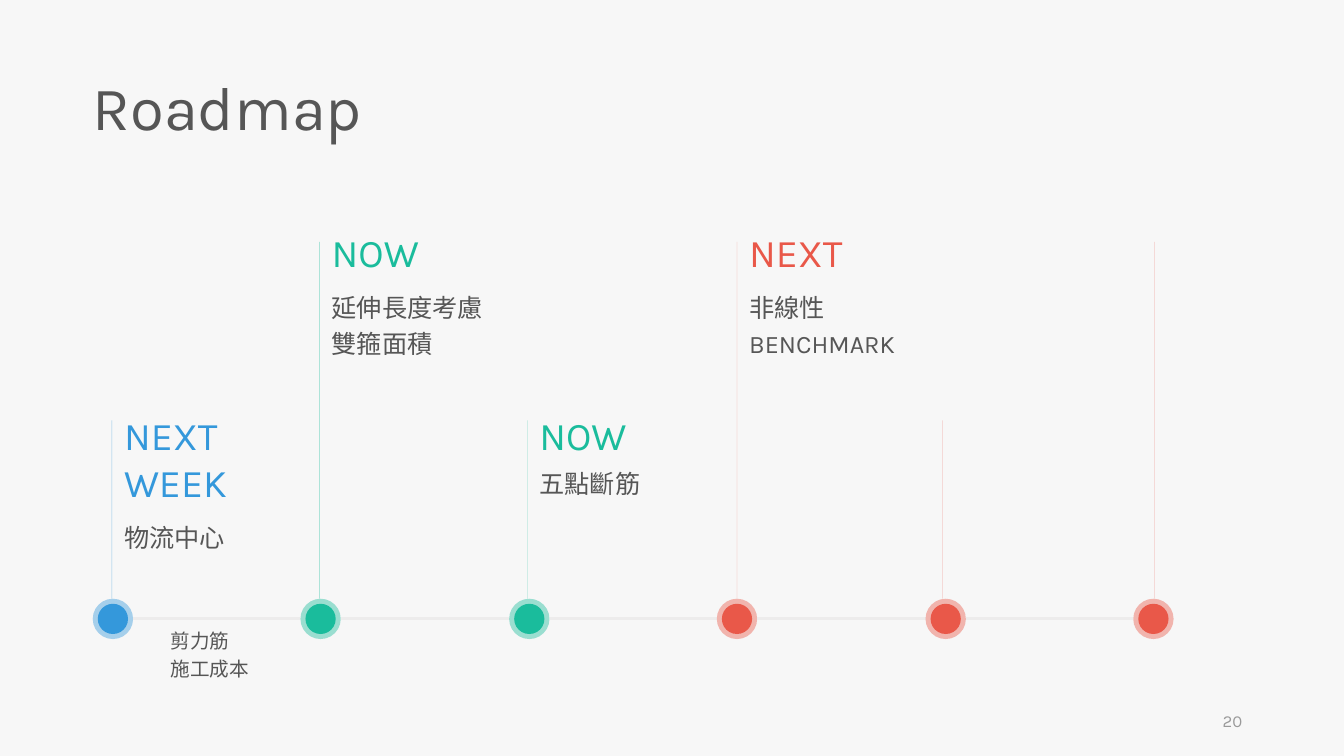
from lxml import etree
from pptx import Presentation
from pptx.dml.color import RGBColor
from pptx.enum.shapes import MSO_CONNECTOR, MSO_SHAPE
from pptx.enum.text import MSO_ANCHOR, MSO_AUTO_SIZE, PP_ALIGN
from pptx.oxml.ns import qn
from pptx.util import Emu, Pt

PX = 9144  # EMU in one px, 100 px to the inch
STRAIGHT = MSO_CONNECTOR.STRAIGHT
OVAL = MSO_SHAPE.OVAL
GROW, FIXED = MSO_AUTO_SIZE.SHAPE_TO_FIT_TEXT, MSO_AUTO_SIZE.NONE
TOP, MIDDLE = MSO_ANCHOR.TOP, MSO_ANCHOR.MIDDLE
LEFT, RIGHT = PP_ALIGN.LEFT, PP_ALIGN.RIGHT

FONT = "Karla"
BACKGROUND = RGBColor(0xF7, 0xF7, 0xF7)
INK = RGBColor(0x56, 0x56, 0x56)
MUTED = RGBColor(0x9A, 0x9A, 0x9A)
TRACK = RGBColor(0xED, 0xEC, 0xEC)
BLUE = RGBColor(0x34, 0x98, 0xDB)
GREEN = RGBColor(0x1A, 0xBC, 0x9C)
RED = RGBColor(0xE9, 0x58, 0x49)

# Timeline geometry
FIRST_LEFT, PITCH = 92, 206.4
HALO, DOT = 40, 30
DOT_TOP = 594
TRACK_Y = DOT_TOP + HALO // 2
HIGH, LOW = 240, 417
TITLE_RISE = 18  # heading box starts this far above the top of its stem

# Colour, stem x, stem top
MILESTONES = [
    (BLUE, 111, LOW),
    (GREEN, 317, HIGH),
    (GREEN, 523, LOW),
    (RED, 731, HIGH),
    (RED, 935, LOW),
    (RED, 1145, HIGH),
]

# Milestone number, heading, heading width and height, lines, body height, line spacing
ENTRIES = [
    (0, "NEXT WEEK", 185, 104, ["物流中心"], 43, 1.2),
    (1, "NOW", 185, 57, ["延伸長度考慮", "雙箍面積"], 83, 1.2),
    (2, "NOW", 185, 57, ["五點斷筋"], 40, 1.0),
    (3, "NEXT", 267, 57, ["非線性 BENCHMARK"], 79, 1.2),
]


def px(*lengths):
    return [Emu(round(length * PX)) for length in lengths]


def set_alpha(fill_parent, percent):
    color = fill_parent.find(qn("a:solidFill"))[0]
    etree.SubElement(color, qn("a:alpha")).set("val", str(percent * 1000))


def add_text(page, place, lines, size, color=INK, inset=12, spacing=1.0, before=0,
             align=LEFT, anchor=TOP, fit=GROW, wrap=True):
    frame = page.shapes.add_textbox(*px(*place)).text_frame
    margin_left, margin_side, margin_end = px(inset, 10, 5)
    frame_format = {
        "margin_left": margin_left, "margin_right": margin_side,
        "margin_top": margin_end, "margin_bottom": margin_end,
        "vertical_anchor": anchor, "auto_size": fit, "word_wrap": wrap,
    }
    for name, value in frame_format.items():
        setattr(frame, name, value)
    para_format = {"alignment": align, "line_spacing": spacing, "space_before": Pt(before)}
    font_format = {"name": FONT, "size": Pt(size)}
    for number, line in enumerate(lines):
        para = frame.add_paragraph() if number else frame.paragraphs[0]
        for name, value in para_format.items():
            setattr(para, name, value)
        span = para.add_run()
        span.text = line
        for name, value in font_format.items():
            setattr(span.font, name, value)
        span.font.color.rgb = color


def add_line(page, start, end, color, width, alpha=100):
    line = page.shapes.add_connector(STRAIGHT, *px(*start, *end))
    line.line.color.rgb = color
    line.line.width = Pt(width)
    properties = line._element.spPr
    if alpha < 100:
        set_alpha(properties.find(qn("a:ln")), alpha)
    etree.SubElement(properties, qn("a:effectLst"))


def add_circle(page, left, top, size, color, alpha=100):
    circle = page.shapes.add_shape(OVAL, *px(left, top, size, size))
    circle.shadow.inherit = False
    circle.fill.solid()
    circle.fill.fore_color.rgb = color
    circle.line.fill.background()
    if alpha < 100:
        set_alpha(circle._element.spPr, alpha)


def add_milestone(page, number, color, stem_x, stem_top):
    left = round(FIRST_LEFT + number * PITCH)
    rim = (HALO - DOT) // 2
    add_circle(page, left, DOT_TOP, HALO, color, alpha=42)
    add_circle(page, left + rim, DOT_TOP + rim, DOT, color)
    if number < len(MILESTONES) - 1:
        next_left = round(FIRST_LEFT + (number + 1) * PITCH)
        add_line(page, (left + HALO, TRACK_Y), (next_left, TRACK_Y), TRACK, 2.25)
    add_line(page, (stem_x, DOT_TOP), (stem_x, stem_top), color, 0.25, alpha=51)


def add_entry(page, number, heading, width, height, lines, body_height, spacing):
    color, left, stem_top = MILESTONES[number]
    # Low entries start slightly closer to the stem top
    top = stem_top - (TITLE_RISE if stem_top == HIGH else 14)
    add_text(page, (left, top, width, height), [heading], 28, color)
    add_text(page, (left, top + height, 185, body_height), lines, 18, spacing=spacing)


def main():
    deck = Presentation()
    deck.slide_width, deck.slide_height = px(1333, 750)
    page = deck.slides.add_slide(deck.slide_layouts[6])
    page.background.fill.solid()
    page.background.fill.fore_color.rgb = BACKGROUND

    # Timeline
    for number, milestone in enumerate(MILESTONES):
        add_milestone(page, number, *milestone)
    for entry in ENTRIES:
        add_entry(page, *entry)

    # Title, page number and note below the track
    add_text(page, (92, 72, 490, 77), ["Roadmap"], 44, inset=0, spacing=0.9, before=10)
    add_text(page, (942, 695, 300, 40), ["20"], 12, MUTED, inset=10,
             align=RIGHT, anchor=MIDDLE, fit=FIXED)
    add_text(page, (169, 614, 89, 67), ["剪力筋", "施工成本"], 14, inset=0,
             spacing=1.2, wrap=False)

    deck.save("out.pptx")


if __name__ == "__main__":
    main()
